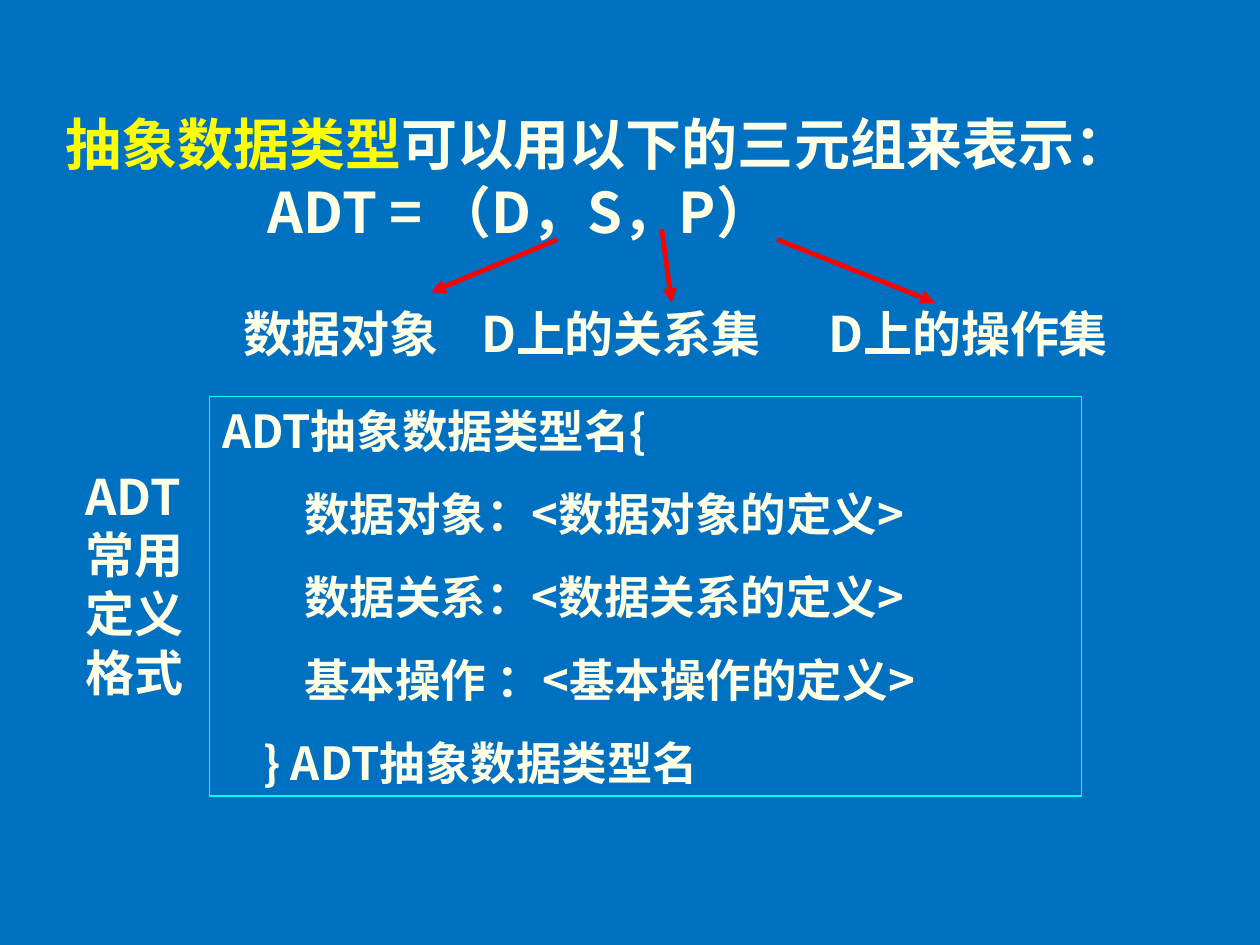
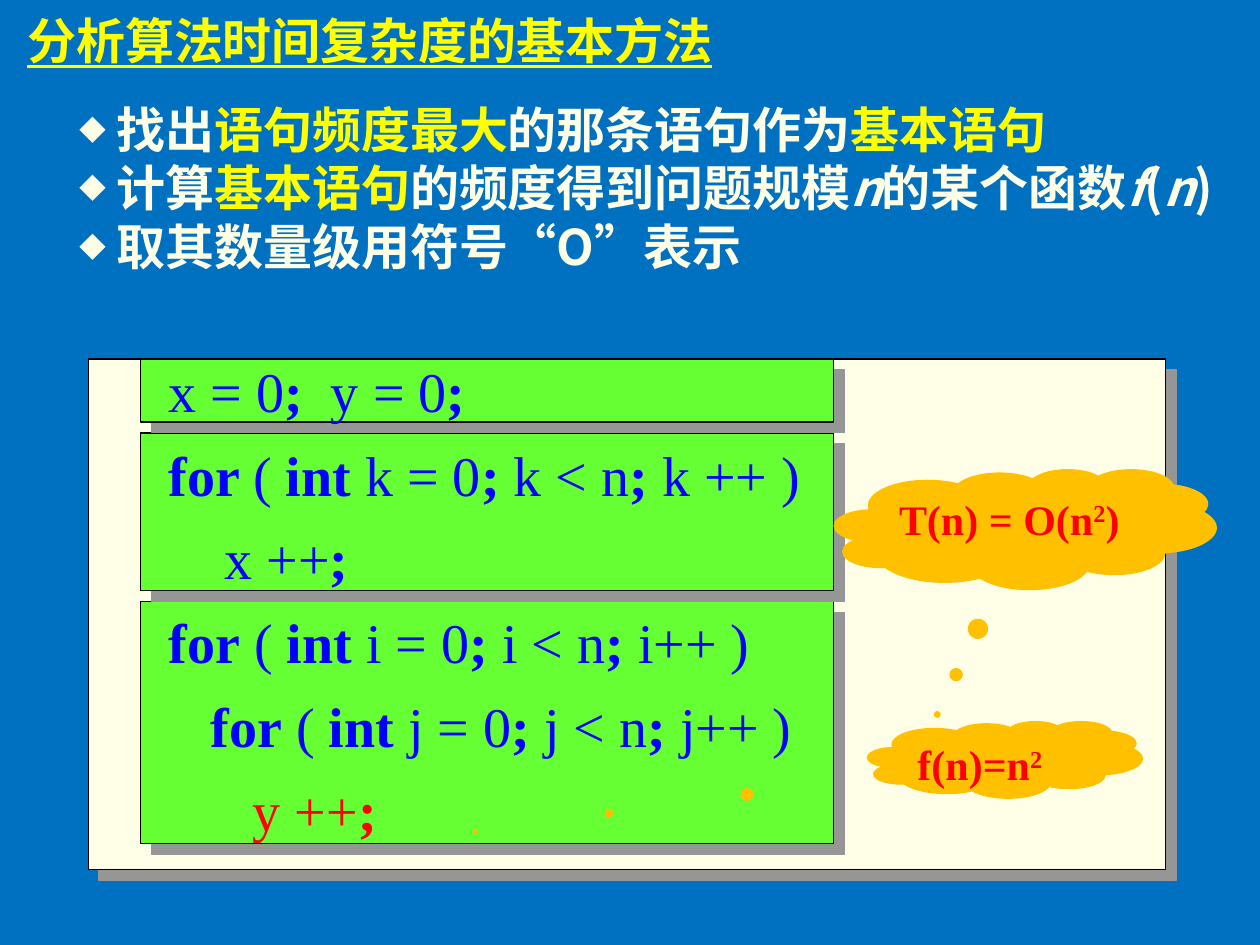
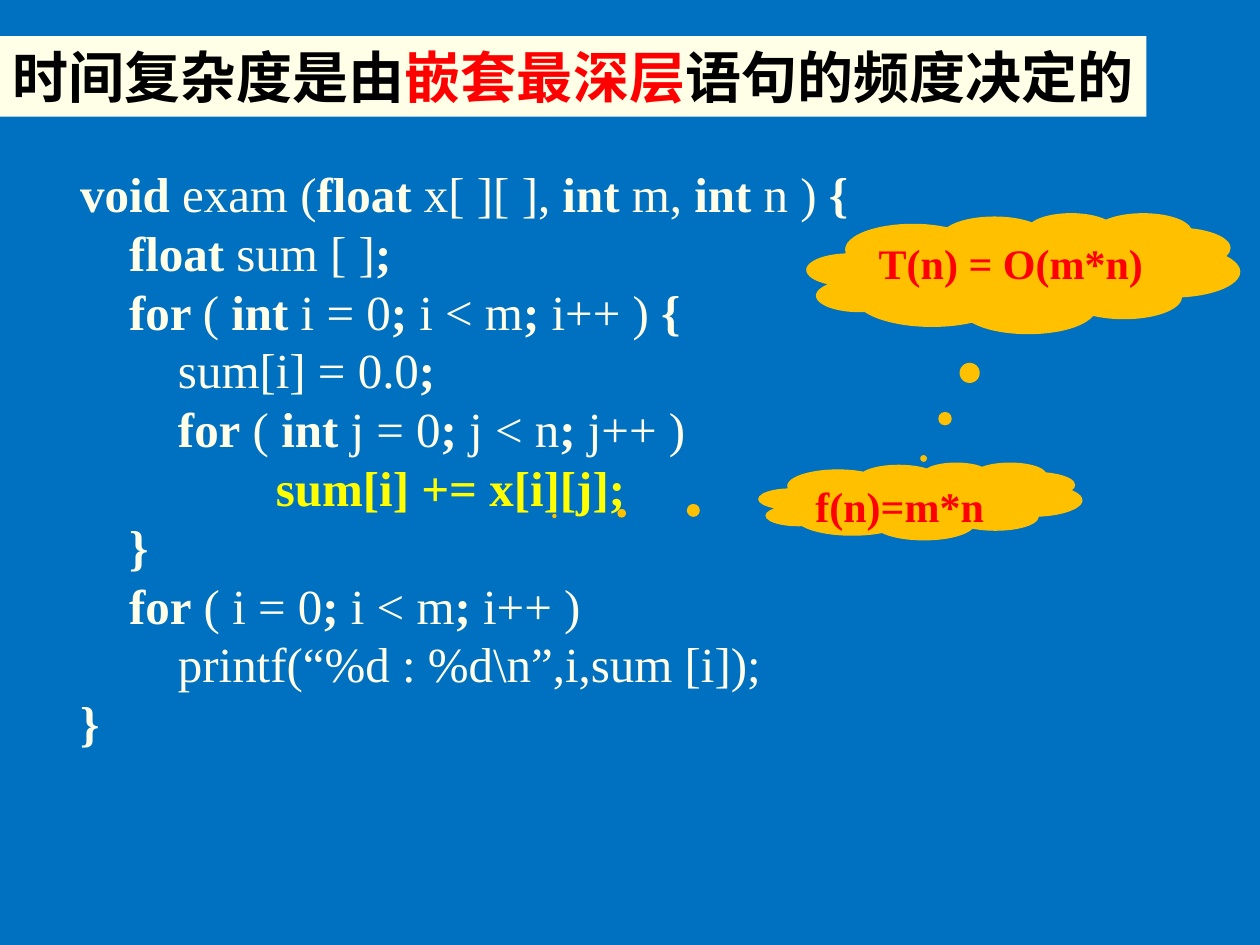
from lxml import etree
from pptx import Presentation
from pptx import util as u
from pptx.dml.color import RGBColor
from pptx.enum import shapes, text
from pptx.oxml.ns import qn

HUES = {
    "back": "0070C0", "cream": "FFFFE7", "yellow": "FFFF00", "red": "FF0000",
    "cyan": "00FFFF", "green": "66FF33", "blue": "0000FF", "gold": "FFC000",
    "black": "000000", "gray": "969696",
}
SANS = "Noto Sans CJK SC"
SERIF = "Times New Roman"
LEAD = 1.2  # line height per point of text
INSET = (0.25, 0.13)
WIDE = (0.3, 0.15)


def hue(name):
    return RGBColor.from_string(HUES[name])


def sub(node, tag, **attrs):
    return etree.SubElement(node, qn(tag), attrs)


def spot(box, left, top, width, height):
    """Box given relative to the corner of another box."""
    return box[0] + left, box[1] + top, width, height


def size_of(box):
    return [u.Cm(n) for n in box]


# ---- text ----

def para(frame, runs, size, color, font=SANS, bold=True, under=None, lead=LEAD,
         before=0, left=0, hang=0, align="LEFT", bullet=None):
    """Add a paragraph; a run is a string or (string, changes)."""
    item = frame.paragraphs[0]
    if item.runs:
        item = frame.add_paragraph()
    props = item._p.get_or_add_pPr()
    props.set("marL", str(u.Cm(left)))
    props.set("indent", str(u.Cm(-hang)))
    if bullet:
        sub(sub(props, "a:buClr"), "a:srgbClr", val=HUES[color])
        sub(props, "a:buSzPct", val="55000")
        sub(props, "a:buFont", typeface=font)
        sub(props, "a:buChar", char=bullet)
    look = item.font
    look.size, look.bold, look.underline = u.Pt(size), bold, under
    look.color.rgb = hue(color)
    look.name = font
    sub(props.find(qn("a:defRPr")), "a:ea", typeface=font)
    item.alignment = getattr(text.PP_ALIGN, align)
    item.line_spacing = u.Pt(size * lead)
    item.space_before = u.Pt(before)
    for part in runs:
        words, change = (part, {}) if isinstance(part, str) else part
        run = item.add_run()
        run.text = words
        if "color" in change:
            run.font.color.rgb = hue(change["color"])
        if "bold" in change:
            run.font.bold = change["bold"]
        if "slant" in change:
            run.font.italic = True
        if "raised" in change:
            run.font._element.set("baseline", "30000")


def code(line):
    """Runs of a code line in which bars switch bold on and off."""
    return [(part, {"bold": n % 2 == 1})
            for n, part in enumerate(line.split("|")) if part]


def setup(frame, inset=INSET, wrap=True):
    frame.auto_size = text.MSO_AUTO_SIZE.NONE
    frame.word_wrap = wrap
    frame.vertical_anchor = text.MSO_ANCHOR.TOP
    frame.margin_left = frame.margin_right = u.Cm(inset[0])
    frame.margin_top = frame.margin_bottom = u.Cm(inset[1])
    return frame


def note(slide, box, inset=INSET, wrap=True):
    return setup(slide.shapes.add_textbox(*size_of(box)).text_frame, inset, wrap)


def title(slide, box, runs, size, color, fill=None, wrap=True, **look):
    head = slide.shapes.title
    head.left, head.top, head.width, head.height = size_of(box)
    if fill:
        head.fill.solid()
        head.fill.fore_color.rgb = hue(fill)
    para(setup(head.text_frame, wrap=wrap), runs, size, color, **look)


# ---- shapes ----

def block(slide, box, kind="RECTANGLE", fill=None, line=None, shade=False):
    item = slide.shapes.add_shape(getattr(shapes.MSO_SHAPE, kind), *size_of(box))
    item.shadow.inherit = False
    if fill:
        item.fill.solid()
        item.fill.fore_color.rgb = hue(fill)
    else:
        item.fill.background()
    if line:
        item.line.color.rgb = hue(line)
        item.line.width = u.Pt(0.75)
    else:
        item.line.fill.background()
    if shade:
        drop = sub(item._element.spPr.find(qn("a:effectLst")), "a:outerShdw",
                   dist=str(u.Pt(8.5)), dir="2700000", algn="ctr", rotWithShape="0")
        sub(drop, "a:srgbClr", val=HUES["gray"])
    return item


def cloud(slide, box, tail, runs):
    item = block(slide, box, "CLOUD_CALLOUT", fill="gold")
    for n, value in enumerate(tail):
        item.adjustments[n] = value
    frame = setup(item.text_frame)
    frame.margin_right = 0  # keeps the formula on one line
    para(frame, runs, 24, "red", SERIF)


def arrow(slide, start, end):
    item = slide.shapes.add_connector(shapes.MSO_CONNECTOR.STRAIGHT,
                                      *size_of(start + end))
    item.line.color.rgb = hue("red")
    item.line.width = u.Pt(2.75)
    sub(item.line._get_or_add_ln(), "a:tailEnd", type="triangle")
    sub(item._element.spPr, "a:effectLst")


# ---- regions ----

def triple(slide, box):
    """Formula, its three labels and the arrows between them."""
    para(note(slide, spot(box, 0.5, 0, 13, 1.61)), ["ADT = （D，S，P）"], 32, "cream")
    parts = [("数据对象", 0, 4.6, (6.58, 1.39), (4.04, 2.45)),
             ("D上的关系集", 4.8, 6.6, (8.69, 1.18), (8.89, 2.66)),
             ("D上的操作集", 11.8, 6.6, (11.02, 1.39), (14.2, 2.66))]
    for words, left, width, start, end in parts:
        para(note(slide, spot(box, left, 2.54, width, 1.45)), [words], 28, "cream")
        arrow(slide, *[(box[0] + x, box[1] + y) for x, y in (start, end)])


def form(slide, box):
    """Framed definition format with its side label."""
    frame = setup(block(slide, box, line="cyan").text_frame)
    rows = [("ADT抽象数据类型名{", 0),
            ("数据对象：<数据对象的定义>", 1.65),
            ("数据关系：<数据关系的定义>", 1.65),
            ("基本操作 ：<基本操作的定义>", 1.65),
            ("} ADT抽象数据类型名", 0.83)]
    for n, (words, left) in enumerate(rows):
        para(frame, [words], 26, "cream", left=left, before=16.2 if n else 0)
    side = note(slide, spot(box, -2.76, 1.27, 2.74, 5))
    para(side, ["ADT常用定义格式"], 28, "cream")


def steps(slide, box):
    """Bulleted steps of the method."""
    gold, slant = {"color": "yellow"}, {"slant": True}
    rows = [["找出", ("语句频度最大", gold), "的那条语句作为", ("基本语句", gold)],
            ["计算", ("基本语句", gold), "的频度得到问题规模", ("n", slant),
             "的某个函数", ("f", slant), "(", ("n", slant), ")"],
            ["取其数量级用符号“O”表示"]]
    frame = note(slide, box, WIDE)
    for runs in rows:
        para(frame, runs, 28, "cream", left=0.98, hang=0.74, bullet="◆")


def panel(slide, box):
    """Code split into shaded blocks on a card."""
    block(slide, box, fill="cream", line="black", shade=True)
    gap, highs = 0.22, (1.27, 3.18, 4.88)
    for n in reversed(range(len(highs))):  # upper shadows fall on lower blocks
        top = sum(highs[:n]) + n * gap
        block(slide, spot(box, 1.06, top, 13.97, highs[n]),
              fill="green", line="black", shade=True)
    rows = ["x = 0|;|  y = 0|;",
            "|for |(| int| k = 0|;| k < n|;| k ++ )",
            "    x ++|;",
            "|for| (| int |i = 0|;| i < n|;| i++ )",
            "   |for| (| int| j = 0|;| j < n|;| j++ )",
            "      y ++|;"]
    frame = note(slide, spot(box, 1.37, -0.53, 13.26, 10.41), wrap=False)
    for row in rows:
        para(frame, code(row), 32, "red" if "y ++" in row else "blue", SERIF,
             bold=False, lead=1.25 * LEAD)


def listing(slide, box):
    """Function listing with its deepest statement marked."""
    rows = ["| void| exam (|float| x[ ][ ],| int| m, |int| n )| {",
            "|     float| sum [ ]|;",
            "|     for |(| int| i = 0|; |i < m|; |i++ ) |{",
            "         sum[i] = 0.0|;",
            "|         for| ( |int| j = 0|; |j < n|;| j++ )",
            "                 |sum[i] += x[i][j];",
            "     |}",
            "    | for| ( i = 0|; |i < m|; |i++ )",
            "         printf(“%d : %d\\n”,i,sum [i]);",
            "| }"]
    frame = note(slide, box, WIDE)
    for row in rows:
        para(frame, code(row), 28, "yellow" if "+=" in row else "cream", SERIF,
             bold=False)


# ---- slides ----

def define(slide):
    title(slide, (1.07, 2.08, 23.3, 1.61),
          [("抽象数据类型", {"color": "yellow"}), "可以用以下的三元组来表示："],
          32, "cream")
    triple(slide, (4.65, 3.44, 20, 3.95))
    form(slide, (4.23, 8, 17.58, 8.05))


def method(slide):
    title(slide, (0.3, 0.08, 14.61, 1.45), ["分析算法时间复杂度的基本方法"],
          28, "yellow", under=True)
    panel(slide, (1.78, 7.24, 21.72, 10.29))
    steps(slide, (1.07, 1.85, 23.93, 5.05))
    square = ("2", {"raised": True})
    cloud(slide, (17.48, 14.53, 5.56, 1.57), (-1.92, 0.92), ["f(n)=n", square])
    cloud(slide, (16.81, 9.45, 7.72, 2.44), (-0.23, 1.53),
          ["T(n) = O(n", square, ")"])


def nested(slide):
    title(slide, (0, 0.73, 23.11, 1.62),
          ["时间复杂度是由", ("嵌套最深层", {"color": "red"}), "语句的频度决定的"],
          32, "black", fill="cream", wrap=False, align="CENTER")
    listing(slide, (1.07, 3.15, 23.93, 12.27))
    cloud(slide, (15.29, 9.32, 6.53, 1.57), (-1.13, 0.19), ["f(n)=m*n"])
    cloud(slide, (16.26, 4.29, 8.74, 2.44), (-0.23, 1.53), ["T(n) = O(m*n)"])


def main():
    deck = Presentation()
    deck.slide_width, deck.slide_height = u.Cm(25.4), u.Cm(19.05)
    back = deck.slide_master.background.fill
    back.solid()
    back.fore_color.rgb = hue("back")
    for draw in (define, method, nested):
        draw(deck.slides.add_slide(deck.slide_layouts[5]))
    deck.save("out.pptx")


if __name__ == "__main__":
    main()
